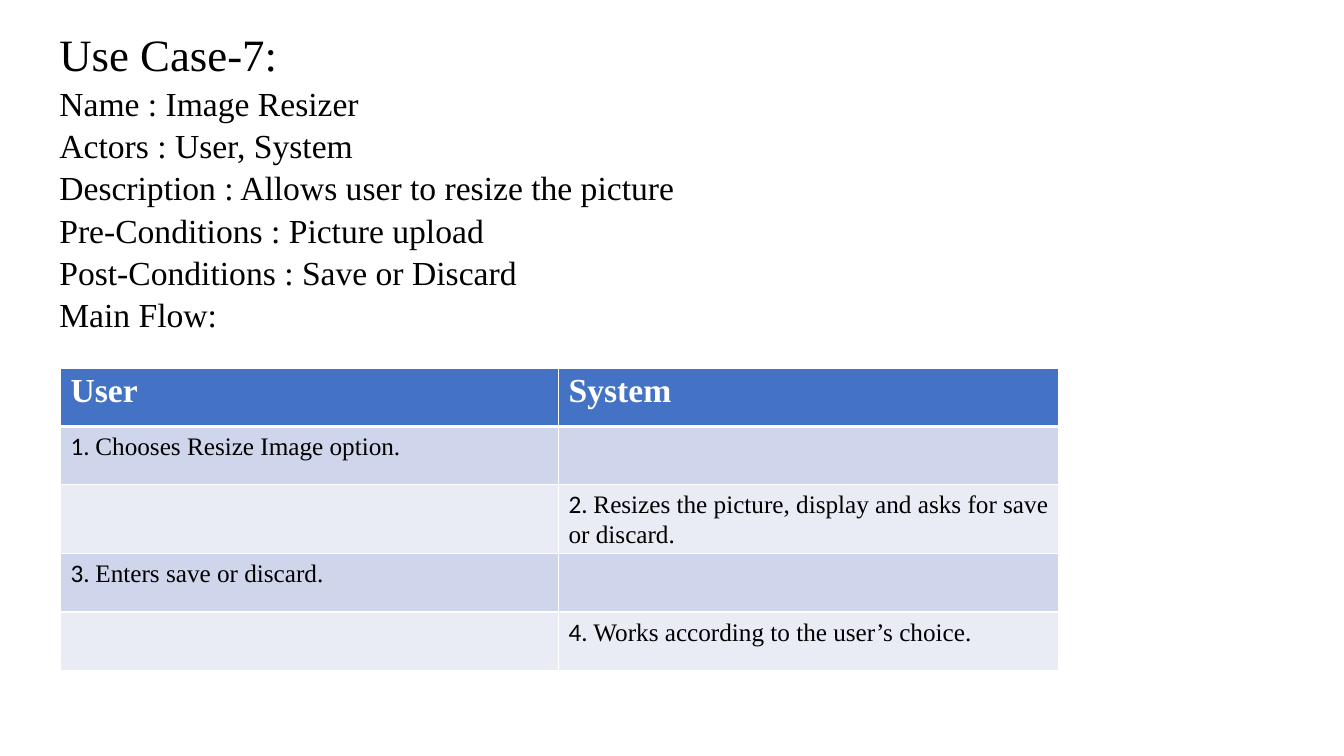
from typing import NamedTuple

from lxml import etree
from pptx import Presentation
from pptx.dml import color
from pptx.enum import text
from pptx.oxml import ns
from pptx.util import Inches, Pt

SERIF, SANS = "Times New Roman", "Calibri"
BLACK, WHITE, BLUE = "000000", "FFFFFF", "4472C4"
BANDS = ("CFD5EA", "E9EBF5")


class Line(NamedTuple):
    words: str
    size: int = 24


class Step(NamedTuple):
    column: int
    words: str


USE_CASE = (
    Line("Use Case-7:", 32),
    Line("Name : Image Resizer"),
    Line("Actors : User, System"),
    Line("Description : Allows user to resize the picture"),
    Line("Pre-Conditions : Picture upload"),
    Line("Post-Conditions : Save or Discard"),
    Line("Main Flow:"),
)
ACTORS = ("User", "System")
STEPS = (
    Step(0, "Chooses Resize Image option."),
    Step(1, "Resizes the picture, display and asks for save or discard."),
    Step(0, "Enters save or discard."),
    Step(1, "Works according to the user’s choice."),
)


def rgb(value: str) -> color.RGBColor:
    return color.RGBColor.from_string(value)


def style(span, size: int, face: str = SERIF, shade: str = BLACK, bold: bool = False) -> None:
    span.font.size = Pt(size)
    span.font.name = face
    span.font.bold = bold
    span.font.color.rgb = rgb(shade)


def paint_cell(cell, fill: str, bottom: int = 1) -> None:
    cell.fill.solid()
    cell.fill.fore_color.rgb = rgb(fill)
    properties = cell._tc.get_or_add_tcPr()
    # Borders come before the fill in the cell properties
    for place, (side, width) in enumerate(zip("LRTB", (1, 1, 1, bottom))):
        border = etree.Element(ns.qn(f"a:ln{side}"), w=str(Pt(width)))
        solid = etree.SubElement(border, ns.qn("a:solidFill"))
        etree.SubElement(solid, ns.qn("a:srgbClr"), val=WHITE)
        properties.insert(place, border)


def add_use_case(page) -> None:
    box = page.shapes.add_textbox(Inches(0.49), Inches(0.19), Inches(13.01), Inches(4.01))
    frame = box.text_frame
    frame.word_wrap = True
    frame.auto_size = text.MSO_AUTO_SIZE.NONE
    frame.text = "\n".join(line.words for line in USE_CASE)
    for para, line in zip(frame.paragraphs, USE_CASE):
        para.line_spacing = 1.05
        style(para.runs[0], line.size)


def add_main_flow(page) -> None:
    table = page.shapes.add_table(
        len(STEPS) + 1, len(ACTORS), Inches(0.6), Inches(3.65), Inches(9.9), Inches(2.92)
    ).table
    for column, width in zip(table.columns, (4.94, 4.96)):
        column.width = Inches(width)
    for row in table.rows:
        row.height = Inches(0.58)

    # Header row
    for index, actor in enumerate(ACTORS):
        cell = table.cell(0, index)
        paint_cell(cell, BLUE, bottom=3)
        cell.text_frame.text = actor
        style(cell.text_frame.paragraphs[0].runs[0], 24, shade=WHITE, bold=True)

    # Numbered steps, each in the column of its actor
    for number, step in enumerate(STEPS, 1):
        for index in range(len(ACTORS)):
            paint_cell(table.cell(number, index), BANDS[(number - 1) % 2])
        para = table.cell(number, step.column).text_frame.paragraphs[0]
        para.text = f"{number}. "
        style(para.runs[0], 18, SANS)
        span = para.add_run()
        span.text = step.words
        style(span, 18)


def main() -> None:
    deck = Presentation()
    deck.slide_width, deck.slide_height = Inches(13.33), Inches(7.5)
    page = deck.slides.add_slide(deck.slide_layouts[6])
    add_use_case(page)
    add_main_flow(page)
    deck.save("out.pptx")


if __name__ == "__main__":
    main()
